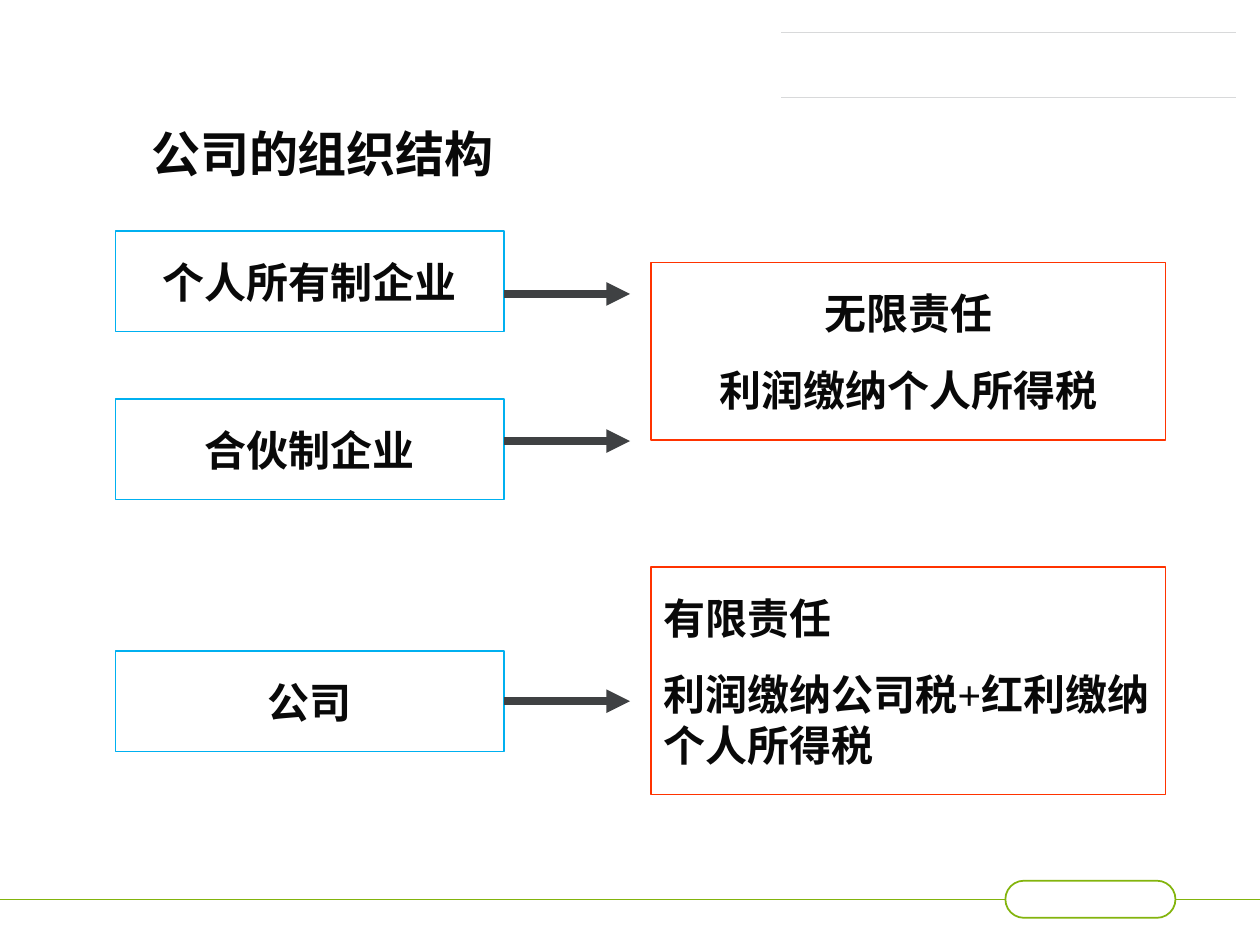
from dataclasses import dataclass

import pptx
import pptx.dml.color
import pptx.enum.shapes
import pptx.enum.text
import pptx.oxml
import pptx.oxml.ns
import pptx.util
from pptx.shapes.autoshape import Shape
from pptx.shapes.connector import Connector
from pptx.slide import Slide
from pptx.text.text import TextFrame

Pt = pptx.util.Pt
ALIGN = pptx.enum.text.PP_ALIGN
ANCHOR = pptx.enum.text.MSO_ANCHOR
PRESET = pptx.enum.shapes.MSO_SHAPE

INK = "090909"
BLUE = "00B0F0"
RED = "FF3300"
GREEN = "83B40D"
PALE = "D8D9DA"
ARROW = "3F4143"
TOP, LEFT, BOTTOM, RIGHT = range(4)


@dataclass
class Card:
    left: float
    top: float
    width: float
    height: float
    color: str
    lines: list[str]
    align: ALIGN = ALIGN.CENTER


@dataclass
class Rule:
    start: float
    end: float
    y: float
    color: str
    width: float = 0.5
    arrow: bool = False


def rgb(value: str) -> pptx.dml.color.RGBColor:
    return pptx.dml.color.RGBColor.from_string(value)


def write(frame: TextFrame, lines: list[str], *, size: float, font: str, align: ALIGN,
          before: float = 0, spacing: float = 1.0, inset: float = 3.6,
          anchor: ANCHOR = ANCHOR.TOP) -> None:
    frame.word_wrap = True
    frame.vertical_anchor = anchor
    frame.margin_left = frame.margin_right = Pt(7.2)
    frame.margin_top = frame.margin_bottom = Pt(inset)
    for index, line in enumerate(lines):
        para = frame.add_paragraph() if index else frame.paragraphs[0]
        para.alignment = align
        para.space_before = Pt(before)
        para.line_spacing = spacing
        span = para.add_run()
        span.text = line
        span.font.size = Pt(size)
        span.font.name = font
        span.font.bold = True
        span.font.color.rgb = rgb(INK)


def draw_outline(page: Slide, preset: PRESET, left: float, top: float, width: float,
                 height: float, color: str, weight: float) -> Shape:
    box = page.shapes.add_shape(preset, Pt(left), Pt(top), Pt(width), Pt(height))
    box.shadow.inherit = False
    box.fill.background()
    box.line.color.rgb = rgb(color)
    box.line.width = Pt(weight)
    return box


def draw_card(page: Slide, card: Card) -> Shape:
    box = draw_outline(page, PRESET.RECTANGLE, card.left, card.top, card.width,
                       card.height, card.color, 0.75)
    write(box.text_frame, card.lines, size=24, font="Times New Roman",
          align=card.align, before=15, inset=14.4)
    box.text_frame.auto_size = pptx.enum.text.MSO_AUTO_SIZE.SHAPE_TO_FIT_TEXT
    return box


def draw_rule(page: Slide, rule: Rule) -> Connector:
    line = page.shapes.add_connector(pptx.enum.shapes.MSO_CONNECTOR.STRAIGHT,
                                     Pt(rule.start), Pt(rule.y), Pt(rule.end), Pt(rule.y))
    line.line.color.rgb = rgb(rule.color)
    line.line.width = Pt(rule.width)
    if rule.arrow:
        tail = pptx.oxml.parse_xml(
            f'<a:tailEnd {pptx.oxml.ns.nsdecls("a")} type="triangle"/>')
        line.line._get_or_add_ln().append(tail)
    effects = pptx.oxml.parse_xml(f'<a:effectLst {pptx.oxml.ns.nsdecls("a")}/>')
    line._element.spPr.append(effects)
    return line


def draw_frame(page: Slide) -> None:
    pill = draw_outline(page, PRESET.ROUNDED_RECTANGLE, 574.5, 503.3, 97.2, 21.2, GREEN, 1)
    pill.adjustments[0] = 0.5
    for y in (18.5, 55.5):
        draw_rule(page, Rule(446.4, 706.3, y, PALE))
    middle = 513.9
    draw_rule(page, Rule(0, 574.5, middle, GREEN)).end_connect(pill, LEFT)
    draw_rule(page, Rule(671.7, 720, middle, GREEN)).begin_connect(pill, RIGHT)


def draw_title(page: Slide) -> None:
    title = page.shapes.title
    title.left, title.top, title.width, title.height = Pt(79.2), Pt(53.3), Pt(560.9), Pt(72.7)
    write(title.text_frame, ["公司的组织结构"], size=28, font="Montserrat",
          align=ALIGN.LEFT, spacing=0.9, anchor=ANCHOR.MIDDLE)


def draw_structure(page: Slide) -> None:
    forms = [(132, "个人所有制企业"), (228, "合伙制企业"), (372, "公司")]
    boxes = [draw_card(page, Card(66, top, 222, 57.4, BLUE, [name])) for top, name in forms]
    outcomes = [
        Card(372, 150, 294, 101.4, RED, ["无限责任", "利润缴纳个人所得税"]),
        Card(372, 324, 294, 130.2, RED,
             ["有限责任", "利润缴纳公司税+红利缴纳个人所得税"], ALIGN.LEFT),
    ]
    for card in outcomes:
        draw_card(page, card)
    for y in (168, 252):
        draw_rule(page, Rule(288, 360, y, ARROW, 4.5, True))
    company_arrow = draw_rule(page, Rule(288, 360, 400.7, ARROW, 4.5, True))
    company_arrow.begin_connect(boxes[-1], RIGHT)


def main() -> None:
    deck = pptx.Presentation()
    deck.slide_width, deck.slide_height = Pt(720), Pt(540)
    page = deck.slides.add_slide(deck.slide_layouts.get_by_name("Title Only"))
    draw_frame(page)
    draw_title(page)
    draw_structure(page)
    deck.save("out.pptx")


if __name__ == "__main__":
    main()
